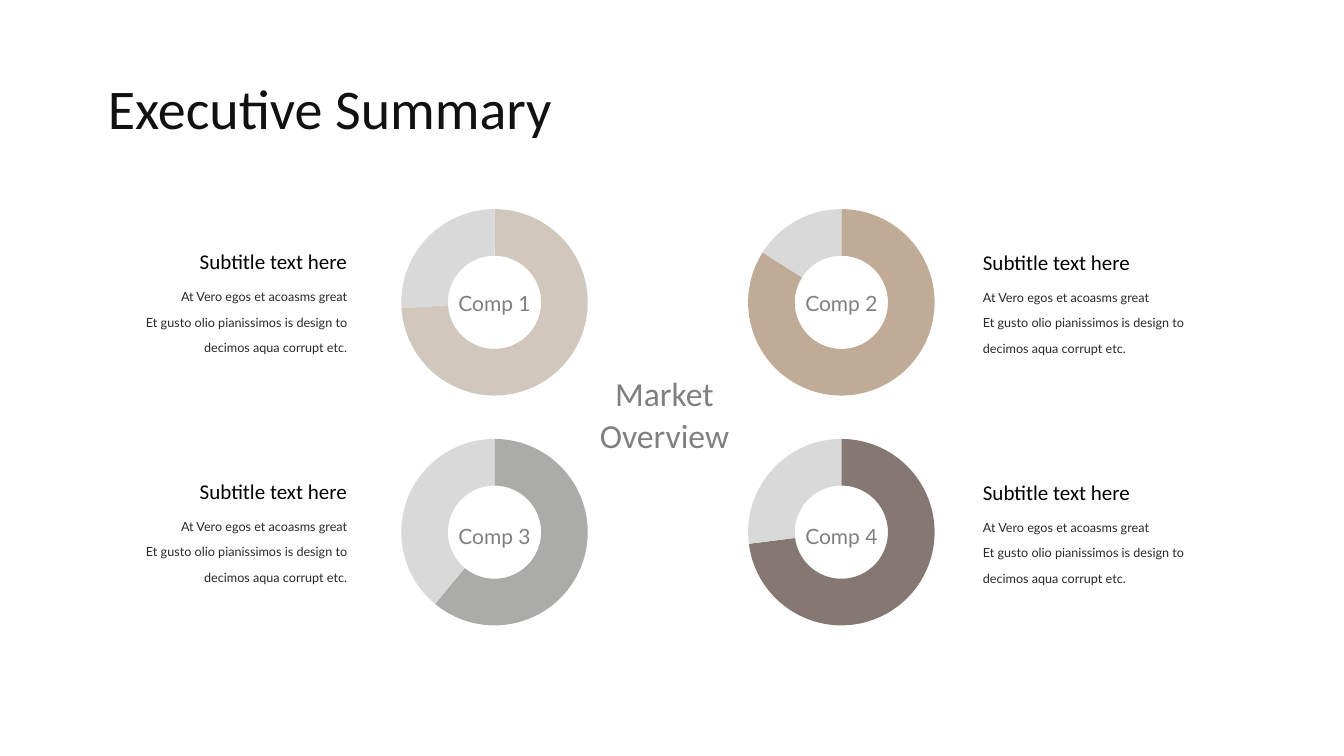
"""Build an executive summary slide with four doughnut charts around a market overview label."""
from lxml import etree
from pptx import Presentation
from pptx.chart.data import CategoryChartData
from pptx.dml.color import RGBColor
from pptx.enum.chart import XL_CHART_TYPE
from pptx.enum.text import MSO_ANCHOR, PP_ALIGN
from pptx.util import Inches, Pt

DOUGHNUT = XL_CHART_TYPE.DOUGHNUT
LEFT, CENTER, RIGHT = PP_ALIGN.LEFT, PP_ALIGN.CENTER, PP_ALIGN.RIGHT
MIDDLE, TOP = MSO_ANCHOR.MIDDLE, MSO_ANCHOR.TOP

INK = RGBColor(0x11, 0x11, 0x11)
BLACK = RGBColor(0x00, 0x00, 0x00)
BODY = RGBColor(0x29, 0x29, 0x29)
GRAY = RGBColor(0x80, 0x80, 0x80)
REST = RGBColor(0xD9, 0xD9, 0xD9)
SAND = RGBColor(0xD2, 0xC7, 0xBC)
TAN = RGBColor(0xC0, 0xAB, 0x96)
SILVER = RGBColor(0xAB, 0xAC, 0xAA)
UMBER = RGBColor(0x85, 0x78, 0x73)

COLUMN_STEP, ROW_STEP, LABEL_STEP = 3.44, 2.28, 2.31
CHART_LEFT, CHART_TOP, CHART_WIDTH, CHART_HEIGHT = 3.31, 1.94, 3.19, 2.12
RING = 1.85
LABEL_WIDTH = 0.99

COMPONENTS = [("Comp 1", 74, SAND), ("Comp 2", 84, TAN),
              ("Comp 3", 61, SILVER), ("Comp 4", 73, UMBER)]
SUBTITLE = "Subtitle text here"
DETAILS = ("At Vero egos et acoasms great\n"
           "Et gusto olio pianissimos is design to decimos aqua corrupt etc.")
SIDES = [(3.54, 2.42, 2.47, RIGHT), (9.65, 2.43, 2.61, LEFT)]


def write(box, text, font, size, color, align, spacing=None, anchor=TOP):
    """Fill a box with text and format every paragraph alike."""
    frame = box.text_frame
    frame.text = text
    frame.word_wrap = True
    frame.vertical_anchor = anchor
    for para in frame.paragraphs:
        para.alignment = align
        para.space_before = Pt(0)
        if spacing:
            para.line_spacing = Pt(spacing)
        for span in para.runs:
            span.font.name = font
            span.font.size = Pt(size)
            span.font.color.rgb = color


def add_text(page, left, top, width, height, *style):
    """Add a formatted text box, measured in inches."""
    box = page.shapes.add_textbox(Inches(left), Inches(top), Inches(width), Inches(height))
    write(box, *style)


deck = Presentation()
deck.slide_width, deck.slide_height = Inches(13.33), Inches(7.5)
page = deck.slides.add_slide(deck.slide_layouts[5])

title = page.shapes.title
title.left, title.top = Inches(0.97), Inches(0.55)
title.width, title.height = Inches(5.09), Inches(0.93)
write(title, "Executive Summary", "Calibri", 40, INK, LEFT, 55, MIDDLE)

for index, (name, share, color) in enumerate(COMPONENTS):
    row, column = divmod(index, 2)
    left = CHART_LEFT + column * COLUMN_STEP
    data = CategoryChartData()
    data.categories = ["1", "2", "3", "4"]
    data.add_series("Series 1", [None, None, share, 100 - share])
    chart = page.shapes.add_chart(
        DOUGHNUT, Inches(left), Inches(CHART_TOP + row * ROW_STEP),
        Inches(CHART_WIDTH), Inches(CHART_HEIGHT), data).chart
    chart.has_legend = False
    chart.has_title = False
    chart.font.name = "Montserrat"
    chart.font.size = Pt(10)
    chart.font.color.rgb = BLACK
    plot = chart.plots[0]
    plot.vary_by_categories = True
    for position, fill_color in ((2, color), (3, REST)):
        point = plot.series[0].points[position].format
        point.fill.solid()
        point.fill.fore_color.rgb = fill_color
        point.line.fill.background()

    chart_xml = chart.element
    chart_xml.find(".//{*}holeSize").set("val", "75")
    area = chart_xml.find(".//{*}plotArea")
    namespace = "{" + etree.QName(area).namespace + "}"
    layout = area.find("{*}layout")
    if layout is None:
        layout = etree.Element(namespace + "layout")
        area.insert(0, layout)
    manual = etree.SubElement(layout, namespace + "manualLayout")
    width, height = RING / CHART_WIDTH, RING / CHART_HEIGHT
    for tag, value in (("layoutTarget", "inner"), ("xMode", "edge"), ("yMode", "edge"),
                       ("x", (1 - width) / 2), ("y", (1 - height) / 2),
                       ("w", width), ("h", height)):
        etree.SubElement(manual, namespace + tag).set("val", str(value))

    add_text(page, left + (CHART_WIDTH - LABEL_WIDTH) / 2, 2.74 + row * LABEL_STEP,
             LABEL_WIDTH, 0.41, name, "Lato", 15, GRAY, CENTER, 25)

    edge, top, body_width, align = SIDES[column]
    top += row * ROW_STEP
    for text, offset, width, height, style in (
            (SUBTITLE, 0, 1.93, 0.35, ("Calibri", 15, BLACK, align)),
            (DETAILS, 0.3, body_width, 0.82, ("Lato", 9, BODY, align, 18))):
        text_left = edge - width if align == RIGHT else edge
        add_text(page, text_left, top + offset, width, height, text, *style)

add_text(page, 5.6, 3.63, 1.98, 0.93, "Market\nOverview", "Calibri", 24, GRAY, CENTER, 30)

deck.save("out.pptx")
